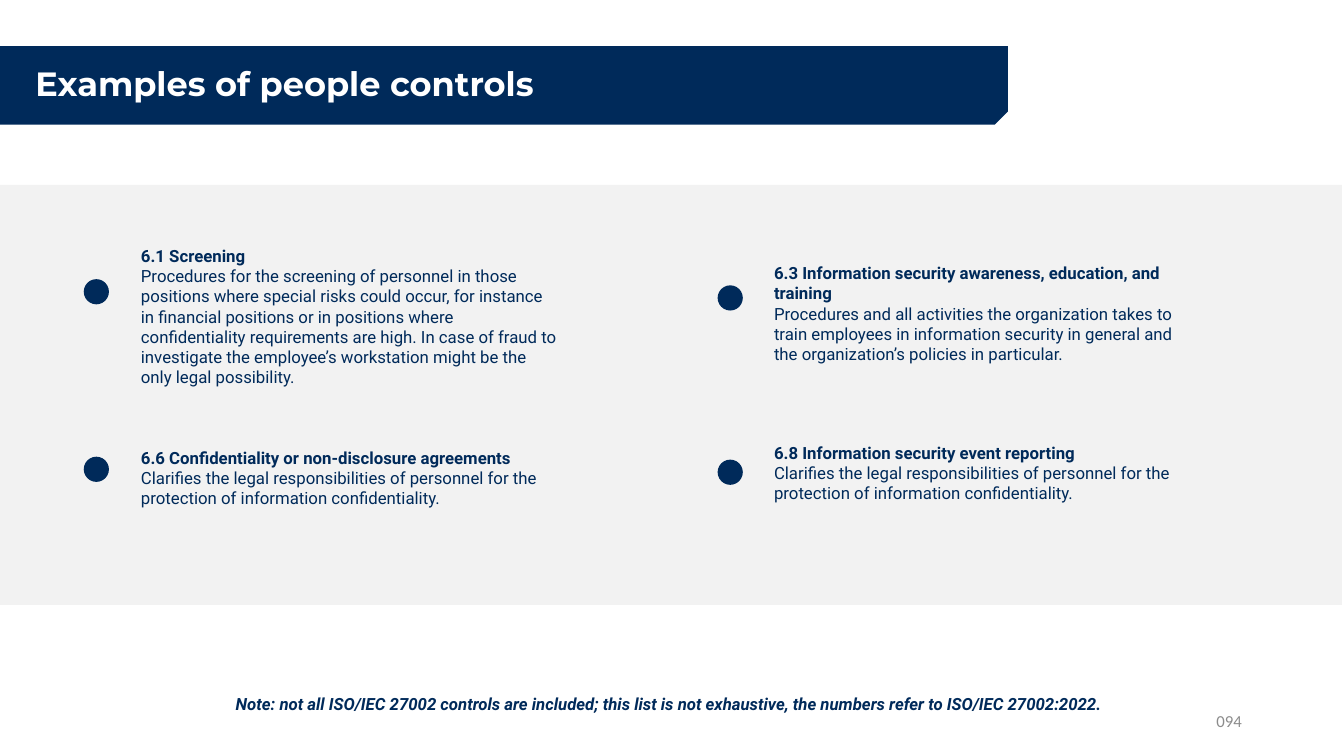
import pptx
import pptx.util
import pptx.dml.color
import pptx.enum.shapes
import pptx.enum.text

Pt = pptx.util.Pt
RGBColor = pptx.dml.color.RGBColor
Shape = pptx.enum.shapes.MSO_SHAPE
Align = pptx.enum.text.PP_ALIGN
Anchor = pptx.enum.text.MSO_ANCHOR
AutoSize = pptx.enum.text.MSO_AUTO_SIZE

NAVY = RGBColor(0x00, 0x2A, 0x5A)
PALE = RGBColor(0xF2, 0xF2, 0xF2)
GREY = RGBColor(0x8C, 0x8C, 0x8C)
WHITE = RGBColor(0xFF, 0xFF, 0xFF)

COLUMNS = [(59.8, 93.6), (512.6, 545.8)]
DOT_SIZE = 18
CONTROL_WIDTH = 311.8
CONTROLS = [
    (0, 199.4, 172.1, 108.7, "6.1 Screening",
     "Procedures for the screening of personnel in those positions where special risks "
     "could occur, for instance in financial positions or in positions where "
     "confidentiality requirements are high. In case of fraud to investigate the "
     "employee’s workstation might be the only legal possibility."),
    (1, 203.8, 184.3, 79.9, "6.3 Information security awareness, education, and training",
     "Procedures and all activities the organization takes to train employees in "
     "information security in general and the organization’s policies in particular."),
    (0, 326.2, 316.1, 65.5, "6.6 Confidentiality or non-disclosure agreements",
     "Clarifies the legal responsibilities of personnel for the protection of "
     "information confidentiality."),
    (1, 328.3, 312.5, 65.5, "6.8 Information security event reporting",
     "Clarifies the legal responsibilities of personnel for the protection of "
     "information confidentiality."),
]


class SlideBuilder:
    def __init__(self, page):
        self.page = page
        self.font = "Roboto"
        self.size = 12
        self.color = NAVY

    def shape(self, kind, left, top, width, height, fill):
        shape = self.page.shapes.add_shape(kind, Pt(left), Pt(top), Pt(width), Pt(height))
        shape.shadow.inherit = False
        shape.fill.solid()
        shape.fill.fore_color.rgb = fill
        shape.line.fill.background()
        return shape

    def span(self, para, text, bold=False, italic=False, font=None, size=None, color=None):
        span = para.add_run()
        span.text = text
        span.font.name = font or self.font
        span.font.size = Pt(size or self.size)
        span.font.color.rgb = color or self.color
        span.font.bold = bold
        span.font.italic = italic

    def title(self, text, left, top, width, height):
        box = self.page.shapes.title
        box.element.getparent().append(box.element)
        box.left, box.top, box.width, box.height = Pt(left), Pt(top), Pt(width), Pt(height)
        frame = box.text_frame
        frame.auto_size = AutoSize.NONE
        frame.vertical_anchor = Anchor.MIDDLE
        para = frame.paragraphs[0]
        para.alignment = Align.LEFT
        para.line_spacing = 0.9
        self.span(para, text, bold=True, font="Montserrat", size=24, color=WHITE)

    def text_box(self, left, top, width, height, wrap=True, grow=True):
        box = self.page.shapes.add_textbox(Pt(left), Pt(top), Pt(width), Pt(height))
        frame = box.text_frame
        frame.word_wrap = wrap
        frame.auto_size = AutoSize.SHAPE_TO_FIT_TEXT if grow else AutoSize.NONE
        return frame

    def control(self, column, dot_top, text_top, height, heading, description):
        dot_left, text_left = COLUMNS[column]
        self.shape(Shape.OVAL, dot_left, dot_top, DOT_SIZE, DOT_SIZE, NAVY)
        frame = self.text_box(text_left, text_top, CONTROL_WIDTH, height)
        self.span(frame.paragraphs[0], heading, bold=True)
        self.span(frame.add_paragraph(), description)

    def note(self, text):
        frame = self.text_box(161.3, 491.8, 647.3, 21.6, wrap=False)
        self.span(frame.paragraphs[0], text, bold=True, italic=True)

    def page_number(self, text):
        frame = self.text_box(678.2, 500.4, 216, 28.8, grow=False)
        frame.vertical_anchor = Anchor.MIDDLE
        para = frame.paragraphs[0]
        para.alignment = Align.RIGHT
        self.span(para, text, font="Calibri", color=GREY)


def main():
    deck = pptx.Presentation()
    deck.slide_width, deck.slide_height = Pt(960), Pt(540)
    builder = SlideBuilder(deck.slides.add_slide(deck.slide_layouts[5]))

    builder.shape(Shape.RECTANGLE, -1.5, 132, 960, 300, PALE)
    banner = builder.shape(Shape.SNIP_ROUND_RECTANGLE, 0, 33, 720, 56, NAVY)
    banner.adjustments[0] = 0
    banner.adjustments[1] = 0.167
    banner.element.spPr.get_or_add_xfrm().set("flipV", "1")
    builder.title("Examples of people controls", 18, 33, 684, 56)

    for control in CONTROLS:
        builder.control(*control)

    builder.note("Note: not all ISO/IEC 27002 controls are included; this list is not "
                 "exhaustive, the numbers refer to ISO/IEC 27002:2022.")
    builder.page_number("094")
    deck.save("out.pptx")


if __name__ == "__main__":
    main()
